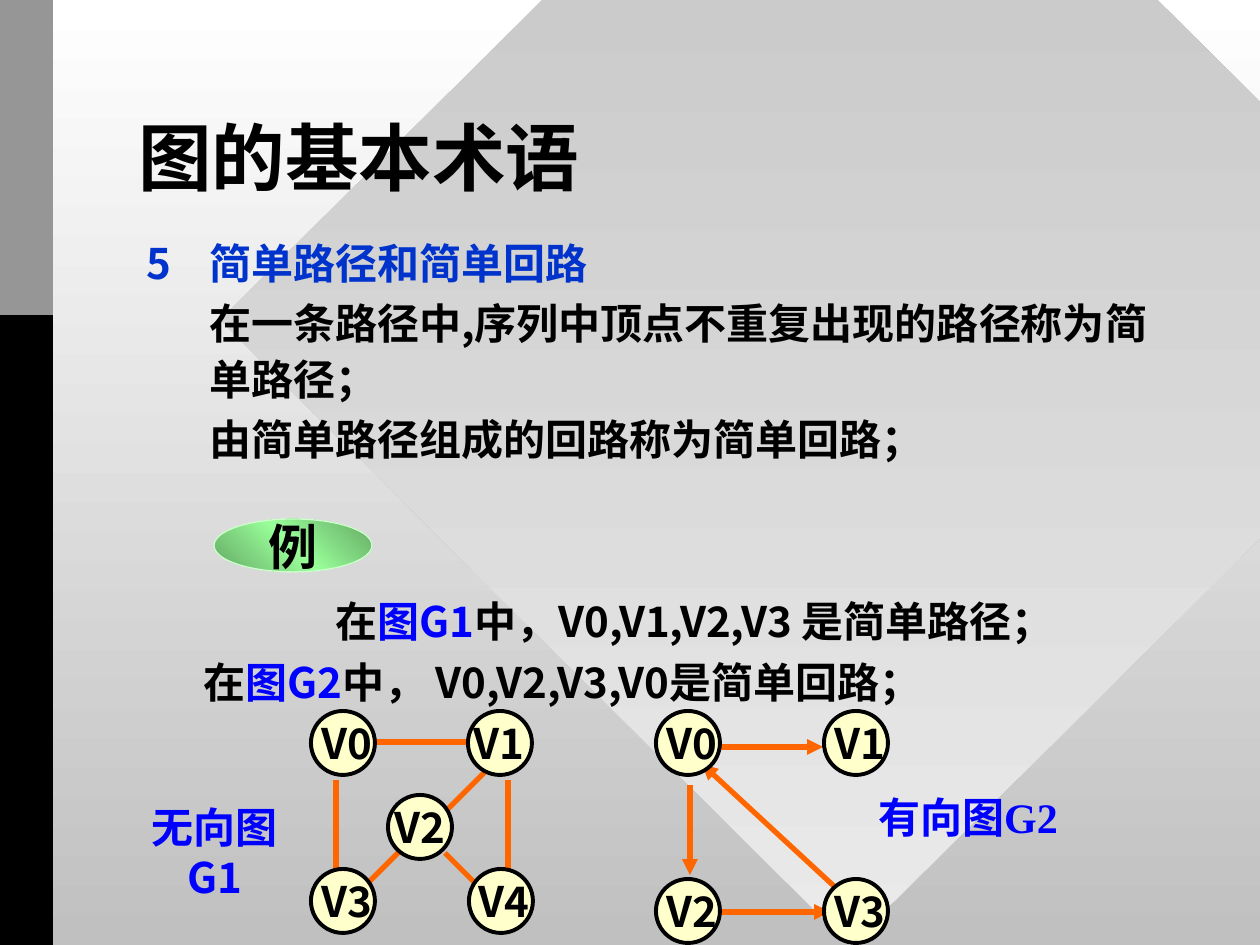
from copy import deepcopy

from lxml.etree import SubElement
from pptx import Presentation
from pptx.dml.color import RGBColor
from pptx.enum.shapes import MSO_CONNECTOR, MSO_SHAPE
from pptx.enum.text import MSO_ANCHOR, PP_ALIGN
from pptx.oxml.ns import qn
from pptx.util import Pt

PX = 914400 / 126
BLACK = RGBColor(0x01, 0x00, 0x00)
BAR_BLACK = RGBColor(0x00, 0x00, 0x00)
BAR_GRAY = RGBColor(0x96, 0x96, 0x96)
WHITE = RGBColor(0xFF, 0xFF, 0xFF)
SILVER = RGBColor(0xC0, 0xC0, 0xC0)
PALE_GRAY = RGBColor(0xEA, 0xEA, 0xEA)
HEADING_BLUE = RGBColor(0x00, 0x33, 0xCC)
BLUE = RGBColor(0x00, 0x00, 0xFF)
ORANGE = RGBColor(0xFF, 0x66, 0x00)
CREAM = RGBColor(0xFF, 0xFF, 0xCC)
DARK_GREEN = RGBColor(0x64, 0xA7, 0x64)
LIGHT_GREEN = RGBColor(0x99, 0xFF, 0x99)
MINT = RGBColor(0xCC, 0xFF, 0xCC)
SANS = "Noto Sans CJK SC"
SERIF = "Times New Roman"


def px(*lengths):
    """Turn pixel lengths into EMU."""
    return [round(length * PX) for length in lengths]


def write(paragraph, *runs, size=24, font=SANS, align=PP_ALIGN.LEFT, spacing=1.0, before=0):
    """Fill a paragraph with bold (text, colour) runs."""
    paragraph.alignment = align
    paragraph.line_spacing = spacing
    paragraph.space_before = Pt(before)
    for text, color in runs:
        run = paragraph.add_run()
        run.text = text
        run.font.size = Pt(size)
        run.font.name = font
        run.font.bold = True
        run.font.color.rgb = color


presentation = Presentation()
presentation.slide_width, presentation.slide_height = px(1260, 945)
slide = presentation.slides.add_slide(presentation.slide_layouts[6])
shapes = slide.shapes

# Backdrop
diamond = shapes.add_shape(MSO_SHAPE.DIAMOND, *px(220, -305, 1260, 1250))
diamond.shadow.inherit = False
diamond.line.fill.background()
example = shapes.add_shape(MSO_SHAPE.OVAL, *px(214, 519, 158, 53))
example.shadow.inherit = False
example.line.color.rgb = MINT
example.line.width = Pt(0.75)
for fill, angle, start, end in (
    (slide.background.fill, 270, WHITE, SILVER),
    (diamond.fill, 270, SILVER, PALE_GRAY),
    (example.fill, 225, DARK_GREEN, LIGHT_GREEN),
):
    fill.gradient()
    fill.gradient_angle = angle
    for stop, color, position in zip(fill.gradient_stops, (start, end), (0, 1)):
        stop.color.rgb = color
        stop.position = position
example.fill.gradient_stops[1].position = 0.5
stop_list = example._element.spPr.find(".//" + qn("a:gsLst"))
last_stop = deepcopy(stop_list[0])
last_stop.set("pos", "100000")
stop_list.append(last_stop)

for height, color in ((945, BAR_BLACK), (315, BAR_GRAY)):
    bar = shapes.add_shape(MSO_SHAPE.RECTANGLE, *px(0, 0, 53, height))
    bar.shadow.inherit = False
    bar.fill.solid()
    bar.fill.fore_color.rgb = color
    bar.line.fill.background()

# Title, definition and example
title = shapes.add_textbox(*px(126, 84, 1008, 158)).text_frame
title.word_wrap = True
title.vertical_anchor = MSO_ANCHOR.MIDDLE
write(title.paragraphs[0], ("图的基本术语", BLACK), size=42, font="Roboto", spacing=0.85)

body = shapes.add_textbox(*px(134, 226, 1057, 488)).text_frame
body.word_wrap = True
body_paragraphs = (
    (63, -63, 0, [("5\t简单路径和简单回路", HEADING_BLUE)]),
    (63, 0, 3, [("在一条路径中,序列中顶点不重复出现的路径称为简单路径；", BLACK)]),
    (63, 0, 3, [("由简单路径组成的回路称为简单回路；", BLACK)]),
    (189, 0, 72, [("在", BLACK), ("图G1", BLUE), ("中，V0,V1,V2,V3 是简单路径；", BLACK)]),
    (57, 0, 3, [("在", BLACK), ("图G2", BLUE), ("中， V0,V2,V3,V0是简单回路；", BLACK)]),
)
for index, (margin, indent, before, runs) in enumerate(body_paragraphs):
    paragraph = body.add_paragraph() if index else body.paragraphs[0]
    properties = paragraph._p.get_or_add_pPr()
    for name, length in zip(("marL", "indent"), px(margin, indent)):
        properties.set(name, str(length))
    write(paragraph, *runs, spacing=1.1, before=before)

example.text_frame.word_wrap = False
example.text_frame.vertical_anchor = MSO_ANCHOR.MIDDLE
write(example.text_frame.paragraphs[0], ("例", BLACK), size=28, font=SERIF, align=PP_ALIGN.CENTER)

for text, font, box in (
    ("无向图G1", SANS, (116, 795, 197, 113)),
    ("有向图G2", SERIF, (838, 785, 260, 63)),
):
    caption = shapes.add_textbox(*px(*box)).text_frame
    caption.word_wrap = True
    write(caption.paragraphs[0], (text, BLUE), font=font, align=PP_ALIGN.CENTER)

# Graph edges: start x, start y, end x, end y
undirected_edges = (
    (336, 780, 336, 871), (373, 742, 478, 742), (508, 780, 508, 871),
    (403, 848, 365, 886), (485, 772, 447, 810), (445, 853, 478, 886),
)
directed_edges = (
    (690, 785, 690, 875), (719, 912, 830, 912),
    (719, 747, 823, 747), (849, 900, 702, 764),
)
for edge in undirected_edges + directed_edges:
    line = shapes.add_connector(MSO_CONNECTOR.STRAIGHT, *px(*edge))
    line.line.color.rgb = ORANGE
    line.line.width = Pt(3)
    if edge in directed_edges:
        SubElement(line.line._get_or_add_ln(), qn("a:tailEnd"), type="triangle")
    SubElement(line._element.spPr, qn("a:effectLst"))

# Graph vertices: name, circle left, circle top, label left
vertices = (
    ("V0", 311, 711, 305), ("V4", 469, 869, 462), ("V3", 311, 869, 305),
    ("V1", 468, 711, 457), ("V2", 388, 795, 378),
    ("V0", 656, 711, 650), ("V1", 824, 711, 818),
    ("V2", 656, 879, 650), ("V3", 824, 879, 818),
)
for name, left, top, label_left in vertices:
    circle = shapes.add_shape(MSO_SHAPE.OVAL, *px(left, top, 64, 64))
    circle.shadow.inherit = False
    circle.fill.solid()
    circle.fill.fore_color.rgb = CREAM
    circle.line.color.rgb = BLACK
    circle.line.width = Pt(2.25)
    label = shapes.add_textbox(*px(label_left, top, 89, 63)).text_frame
    label.word_wrap = True
    label.margin_left = px(17)[0]
    write(label.paragraphs[0], (name, BLACK))

presentation.save("out.pptx")
